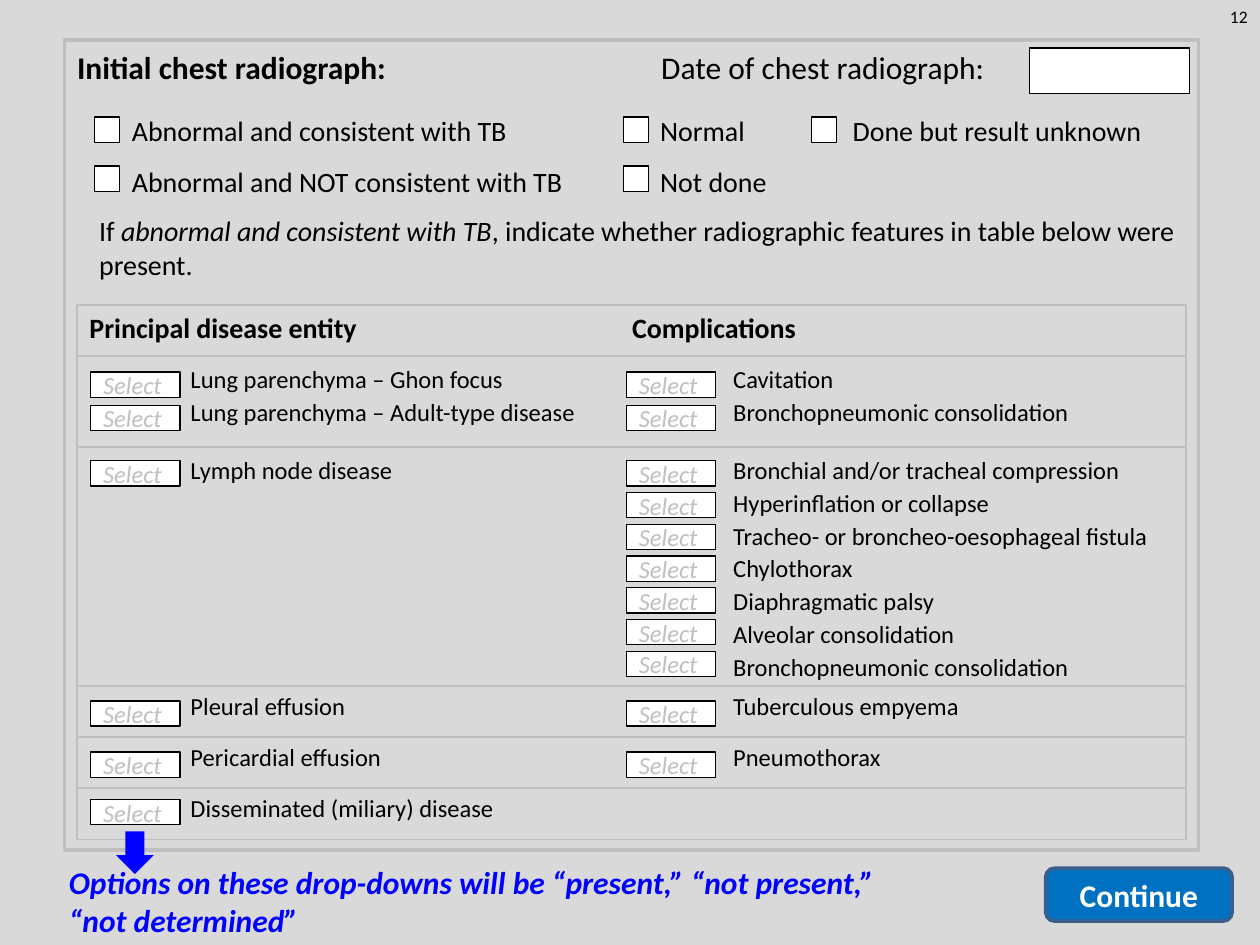
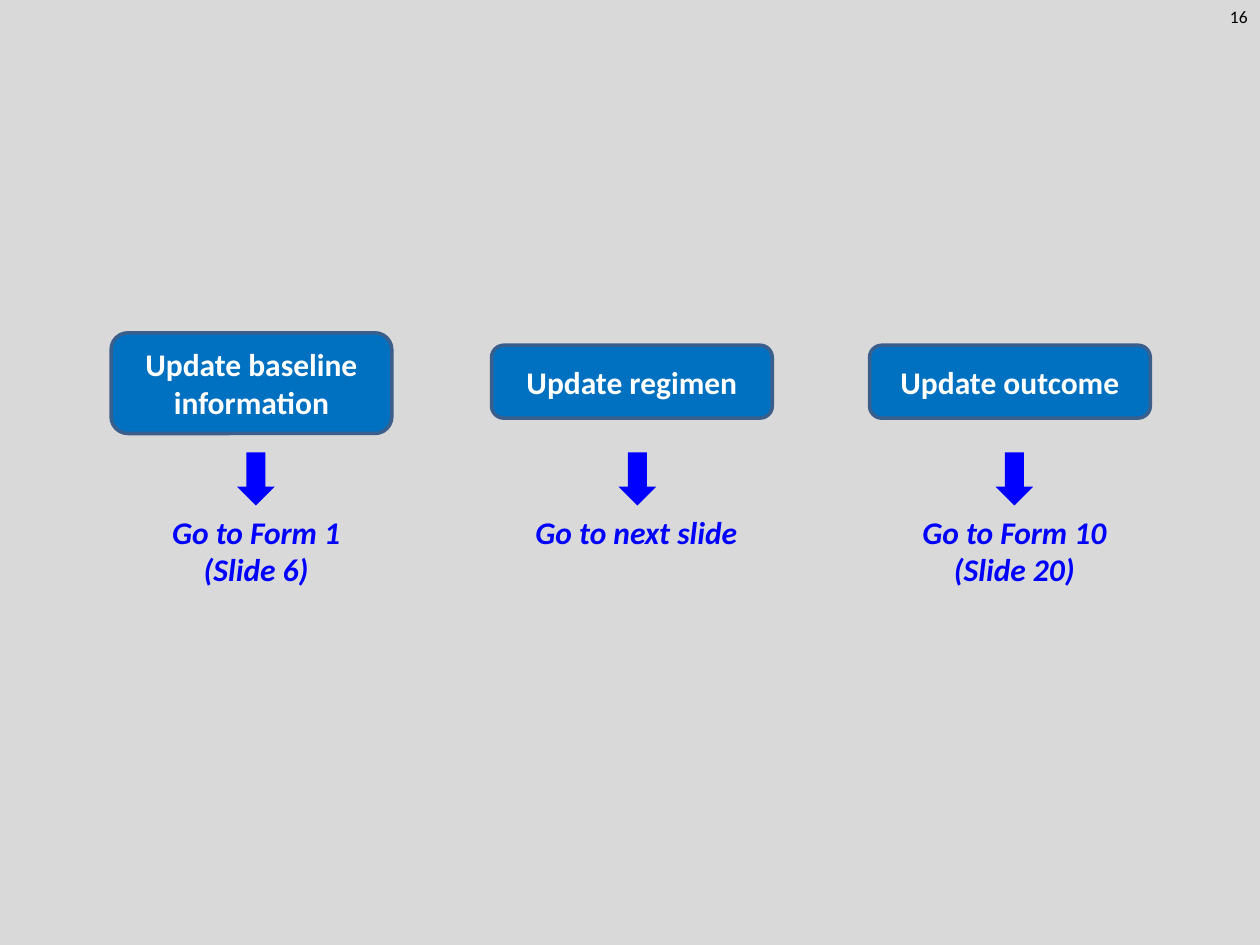
from lxml import etree
from pptx import Presentation
from pptx.dml.color import RGBColor
from pptx.enum.shapes import MSO_SHAPE
from pptx.enum.text import MSO_ANCHOR, MSO_AUTO_SIZE, PP_ALIGN
from pptx.oxml.ns import qn
from pptx.util import Cm, Pt

RECTANGLE = MSO_SHAPE.RECTANGLE
ROUNDED = MSO_SHAPE.ROUNDED_RECTANGLE
DOWN_ARROW = MSO_SHAPE.DOWN_ARROW
LEFT, CENTER, RIGHT = PP_ALIGN.LEFT, PP_ALIGN.CENTER, PP_ALIGN.RIGHT
TOP, MIDDLE = MSO_ANCHOR.TOP, MSO_ANCHOR.MIDDLE
NO_AUTOFIT = MSO_AUTO_SIZE.NONE
TITLE_ONLY, BLANK = 5, 6

COLORS = {
    "background": "D9D9D9",
    "black": "000000",
    "white": "FFFFFF",
    "grey": "BFBFBF",
    "button": "0070C0",
    "button edge": "3A5F8C",
    "instruction": "0000FF",
}
STYLES = {
    "page number": ("black", {"size": Pt(10)}),
    "title": ("black", {"size": Pt(18), "bold": True}),
    "date": ("black", {"size": Pt(18)}),
    "label": ("black", {"size": Pt(16)}),
    "table head": ("black", {"size": Pt(16), "bold": True}),
    "table body": ("black", {"size": Pt(14)}),
    "select": ("grey", {"size": Pt(14), "italic": True}),
    "button": ("white", {"size": Pt(18), "bold": True}),
    "instruction": ("instruction", {"size": Pt(18), "bold": True, "italic": True}),
}


def write(text_frame, lines, style, alignment=LEFT, spacing=1.0, anchor=TOP):
    """Fill a frame, one paragraph per line; words between asterisks are italic."""
    text_frame.word_wrap = True
    text_frame.vertical_anchor = anchor
    color, formats = STYLES[style]
    for number, line in enumerate(lines):
        paragraph = text_frame.add_paragraph() if number else text_frame.paragraphs[0]
        paragraph.alignment = alignment
        paragraph.line_spacing = spacing
        for index, words in enumerate(line.split("*")):
            run = paragraph.add_run()
            run.text = words
            run.font.name = "Calibri"
            run.font.color.rgb = RGBColor.from_string(COLORS[color])
            for name, value in formats.items():
                setattr(run.font, name, value)
            if index % 2:
                run.font.italic = True


def draw(slide, kind, box, fill=None, line=None, width=0.75):
    shape = slide.shapes.add_shape(kind, *map(Cm, box))
    shape.shadow.inherit = False
    if fill:
        shape.fill.solid()
        shape.fill.fore_color.rgb = RGBColor.from_string(COLORS[fill])
    else:
        shape.fill.background()
    if line:
        shape.line.color.rgb = RGBColor.from_string(COLORS[line])
        shape.line.width = Pt(width)
    else:
        shape.line.fill.background()
    return shape


presentation = Presentation()
presentation.slide_width, presentation.slide_height = Cm(25.4), Cm(19.05)
background = presentation.slide_master.background.fill
background.solid()
background.fore_color.rgb = RGBColor.from_string(COLORS["background"])

form_slide = presentation.slides.add_slide(presentation.slide_layouts[TITLE_ONLY])
menu_slide = presentation.slides.add_slide(presentation.slide_layouts[BLANK])
for slide, page_number in ((form_slide, "12"), (menu_slide, "16")):
    number_box = slide.shapes.add_textbox(Cm(24.13), 0, Cm(1.27), Cm(0.69))
    write(number_box.text_frame, [page_number], "page number", RIGHT)

# Radiograph form: heading, check boxes and frame
title = form_slide.shapes.title
title.left, title.top, title.width, title.height = map(Cm, (1.3, 0.84, 10.36, 1.02))
write(title.text_frame, ["Initial chest radiograph:"], "title")
title.text_frame.auto_size = NO_AUTOFIT

draw(form_slide, RECTANGLE, (1.3, 0.81, 22.86, 16.33), line="grey", width=2)
draw(form_slide, RECTANGLE, (20.75, 0.97, 3.23, 0.91), "white", "black")

# Check box left, label left, label width, labels
result_columns = [
    (1.9, 2.41, 9.58, ["Abnormal and consistent with TB",
                       "Abnormal and NOT consistent with TB"]),
    (12.57, 13.06, 6.53, ["Normal", "Not done"]),
    (16.36, 16.94, 6.53, ["Done but result unknown"]),
]
for check_left, label_left, label_width, labels in result_columns:
    for index in range(len(labels)):
        draw(form_slide, RECTANGLE, (check_left, 2.36 + 0.99 * index, 0.51, 0.51),
             "white", "black")
    label_box = form_slide.shapes.add_textbox(
        Cm(label_left), Cm(1.83), Cm(label_width), Cm(1.13 * len(labels)))
    write(label_box.text_frame, labels, "label", spacing=1.5)

form_texts = [
    ((13.08, 0.84, 7.72, 1.02), "Date of chest radiograph:", "date"),
    ((1.75, 4.19, 22.3, 1.63), "If *abnormal and consistent with TB*, indicate whether "
     "radiographic features in table below were present.", "label"),
    ((1.14, 17.27, 17.73, 1.8), "Options on these drop-downs will be “present,” "
     "“not present,” “not determined”", "instruction"),
]
for box, text, style in form_texts:
    text_box = form_slide.shapes.add_textbox(*map(Cm, box))
    write(text_box.text_frame, [text], style)

# Row height, line spacing, offset and step of the drop-downs, text of both columns
feature_rows = [
    (1.03, 1.0, 0, 0, ["Principal disease entity"], ["Complications"]),
    (1.83, 1.1, 0.32, 0.67,
     ["Lung parenchyma – Ghon focus", "Lung parenchyma – Adult-type disease"],
     ["Cavitation", "Bronchopneumonic consolidation"]),
    (4.82, 1.1, 0.28, 0.64,
     ["Lymph node disease"],
     ["Bronchial and/or tracheal compression", "Hyperinflation or collapse",
      "Tracheo- or broncheo-oesophageal fistula", "Chylothorax",
      "Diaphragmatic palsy", "Alveolar consolidation",
      "Bronchopneumonic consolidation"]),
    (1.03, 1.0, 0.3, 0, ["Pleural effusion"], ["Tuberculous empyema"]),
    (1.03, 1.0, 0.3, 0, ["Pericardial effusion"], ["Pneumothorax"]),
    (1.03, 1.0, 0.23, 0, ["Disseminated (miliary) disease"], []),
]
table_top = 6.15
table_height = sum(row[0] for row in feature_rows)
table = form_slide.shapes.add_table(
    len(feature_rows), 2, Cm(1.55), Cm(table_top), Cm(22.36), Cm(table_height)).table
table.first_row = table.horz_banding = False
table.columns[0].width, table.columns[1].width = Cm(10.94), Cm(11.42)

row_top = table_top
for row_index, (height, spacing, offset, step, *columns) in enumerate(feature_rows):
    table.rows[row_index].height = Cm(height)
    for column_index, entries in enumerate(columns):
        cell = table.cell(row_index, column_index)
        properties = cell._tc.get_or_add_tcPr()
        inner_side = "a:lnL" if column_index else "a:lnR"
        for side in ("a:lnL", "a:lnR", "a:lnT", "a:lnB"):
            border = etree.SubElement(properties, qn(side), w=str(Pt(1)))
            if side == inner_side:
                etree.SubElement(border, qn("a:noFill"))
            else:
                border_fill = etree.SubElement(border, qn("a:solidFill"))
                etree.SubElement(border_fill, qn("a:srgbClr"), val=COLORS["grey"])
        cell.fill.background()
        if row_index:
            cell.margin_left = Cm(2.29)
        write(cell.text_frame, entries, "table body" if row_index else "table head",
              spacing=spacing)
        if row_index == 0:
            continue
        for entry_index in range(len(entries)):
            select = draw(form_slide, RECTANGLE,
                          ((1.83, 12.63)[column_index],
                           row_top + offset + step * entry_index, 1.8, 0.51),
                          "white", "black")
            write(select.text_frame, ["Select"], "select", anchor=MIDDLE)
            select.text_frame.margin_top = select.text_frame.margin_bottom = 0
    row_top += height

draw(form_slide, DOWN_ARROW, (2.34, 16.76, 0.76, 0.86), "instruction")

# Update menu: button, arrow and instruction in each column
menu_columns = [
    ("Update baseline information", (2.24, 6.71, 5.66, 2.03), 4.78,
     (3.02, 4.29), ["Go to Form 1 (Slide 6)"]),
    ("Update regimen", (9.91, 6.96, 5.66, 1.47), 12.47,
     (9.63, 6.4), ["Go to next slide"]),
    ("Update outcome", (17.53, 6.96, 5.66, 1.47), 20.07,
     (17.25, 6.4), ["Go to Form 10", "(Slide 20)"]),
]
buttons = [(form_slide, "Continue", (21.08, 17.5, 3.76, 1.07))]
for caption, button_box, arrow_left, (text_left, text_width), lines in menu_columns:
    buttons.append((menu_slide, caption, button_box))
    draw(menu_slide, DOWN_ARROW, (arrow_left, 9.12, 0.76, 1.07), "instruction")
    target_box = menu_slide.shapes.add_textbox(
        Cm(text_left), Cm(10.21), Cm(text_width), Cm(1.8))
    write(target_box.text_frame, lines, "instruction", CENTER)

for slide, caption, box in buttons:
    button = draw(slide, ROUNDED, box, "button", "button edge", 2)
    write(button.text_frame, [caption], "button", CENTER, anchor=MIDDLE)

presentation.save("out.pptx")
